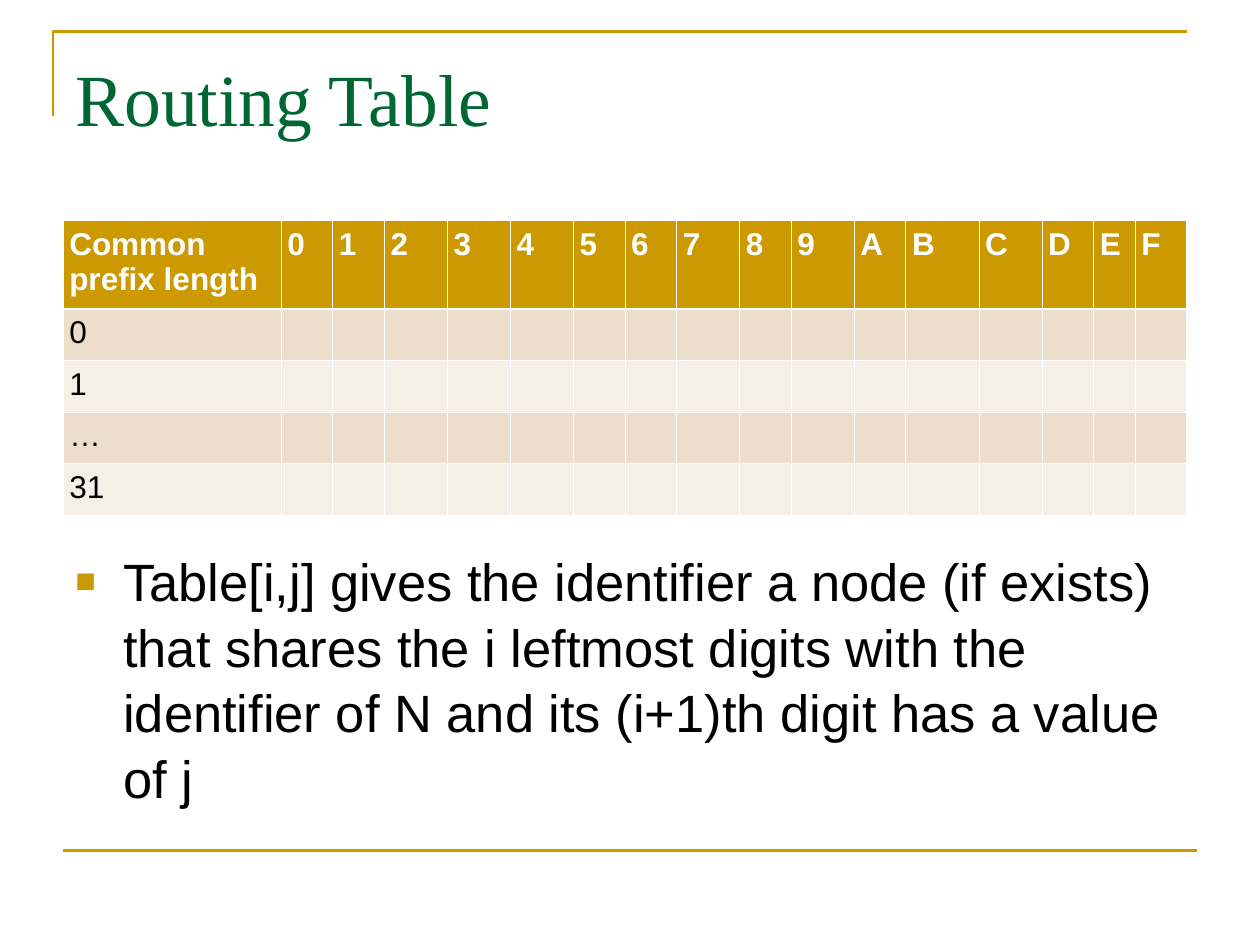
"""Build a slide that shows a routing table and explains its entries."""
from lxml import etree
from pptx import Presentation
from pptx import util as u
from pptx.dml.color import RGBColor
from pptx.enum import shapes, text
from pptx.oxml.ns import qn

COLORS = {
    "gold": "CC9900",
    "green": "006633",
    "black": "000000",
    "white": "FFFFFF",
    "dark_band": "ECDECB",
    "light_band": "F6EFE7",
}
PREFIX_LENGTHS = ["0", "1", "…", "31"]
DIGITS = "0123456789ABCDEF"
PREFIX_WIDTH = 1.73
DIGIT_WIDTH = 0.41
WIDER_DIGITS = {**dict.fromkeys("23479C", 0.5), "B": 0.58, "E": 0.33}
HEADER_HEIGHT = 0.7
ROW_HEIGHT = 0.41
EXPLANATION = (
    "Table[i,j] gives the identifier a node (if exists) that shares the i "
    "leftmost digits with the identifier of N and its (i+1)th digit has a value of j"
)


def rgb(name):
    return RGBColor.from_string(COLORS[name])


def style_font(paragraph, size, color, name="Arial", bold=False):
    font = paragraph.font
    font.size, font.name, font.bold = u.Pt(size), name, bold
    font.color.rgb = rgb(color)


def style_line(shape):
    shape.line.color.rgb = rgb("gold")
    shape.line.width = u.Pt(1.5)


def add_corner(slide):
    builder = slide.shapes.build_freeform(u.Inches(0.42), u.Inches(0.92))
    corner_points = [(0.42, 0.25), (9.42, 0.25)]
    builder.add_line_segments(
        [(u.Inches(x), u.Inches(y)) for x, y in corner_points], close=False)
    corner = builder.convert_to_shape()
    corner.shadow.inherit = False
    corner.fill.background()
    style_line(corner)


def add_rule(slide, left, right, top):
    rule = slide.shapes.add_connector(
        shapes.MSO_CONNECTOR.STRAIGHT,
        u.Inches(left), u.Inches(top), u.Inches(right), u.Inches(top))
    style_line(rule)
    etree.SubElement(rule.element.spPr, qn("a:effectLst"))


def add_text(slide, content, left, top, width, height, inset_top):
    box = slide.shapes.add_textbox(
        u.Inches(left), u.Inches(top), u.Inches(width), u.Inches(height))
    frame = box.text_frame
    frame.word_wrap = True
    frame.vertical_anchor = text.MSO_ANCHOR.TOP
    frame.margin_top = u.Inches(inset_top)
    paragraph = frame.paragraphs[0]
    paragraph.text = content
    return paragraph


def add_bullet(paragraph, indent):
    properties = paragraph._p.get_or_add_pPr()
    properties.set("marL", str(u.Inches(indent)))
    properties.set("indent", str(-u.Inches(indent)))
    color = etree.SubElement(properties, qn("a:buClr"))
    etree.SubElement(color, qn("a:srgbClr"), val=COLORS["gold"])
    etree.SubElement(properties, qn("a:buSzPct"), val="65000")
    etree.SubElement(properties, qn("a:buFont"), typeface="Arial")
    etree.SubElement(properties, qn("a:buChar"), char="■")


def add_borders(cell, widths):
    properties = cell._tc.get_or_add_tcPr()
    for side, width in widths.items():
        line = etree.SubElement(properties, qn(f"a:ln{side}"), w=str(u.Pt(width)))
        fill = etree.SubElement(line, qn("a:solidFill"))
        etree.SubElement(fill, qn("a:srgbClr"), val=COLORS["white"])


def style_cell(cell, row):
    thin, thick = 0.45, 1.47
    add_borders(cell, {
        "L": thin,
        "R": thin,
        "T": thick if row == 1 else thin,
        "B": thick if row == 0 else thin,
    })
    band = "gold" if row == 0 else "dark_band" if row % 2 else "light_band"
    cell.fill.solid()
    cell.fill.fore_color.rgb = rgb(band)
    cell.margin_left = cell.margin_right = u.Inches(0.05)
    cell.margin_top = cell.margin_bottom = u.Inches(0.05)
    header = row == 0
    style_font(cell.text_frame.paragraphs[0], 18,
               "white" if header else "black", bold=header)


def add_routing_table(slide, left, top):
    widths = [PREFIX_WIDTH] + [WIDER_DIGITS.get(d, DIGIT_WIDTH) for d in DIGITS]
    heights = [HEADER_HEIGHT] + [ROW_HEIGHT] * len(PREFIX_LENGTHS)
    contents = [["Common prefix length", *DIGITS]]
    contents += [[length] + [""] * len(DIGITS) for length in PREFIX_LENGTHS]
    table = slide.shapes.add_table(
        len(heights), len(widths), u.Inches(left), u.Inches(top),
        u.Inches(sum(widths)), u.Inches(sum(heights))).table
    for column, width in zip(table.columns, widths):
        column.width = u.Inches(width)
    for row, height in enumerate(heights):
        table.rows[row].height = u.Inches(height)
        for column, content in enumerate(contents[row]):
            cell = table.cell(row, column)
            cell.text = content
            style_cell(cell, row)


def main():
    presentation = Presentation()
    presentation.slide_width = u.Inches(10)
    presentation.slide_height = u.Inches(7.5)
    slide = presentation.slides.add_slide(presentation.slide_layouts[6])
    add_corner(slide)
    add_rule(slide, 0.5, 9.5, 6.75)
    title = add_text(slide, "Routing Table", 0.5, 0.3, 9, 1.25, 0.12)
    style_font(title, 42, "green", name="Times New Roman")
    add_routing_table(slide, 0.5, 1.75)
    explanation = add_text(slide, EXPLANATION, 0.5, 4.27, 9, 2.43, 0.07)
    explanation.line_spacing = 1.04
    add_bullet(explanation, 0.38)
    style_font(explanation, 30, "black")
    presentation.save("out.pptx")


if __name__ == "__main__":
    main()
